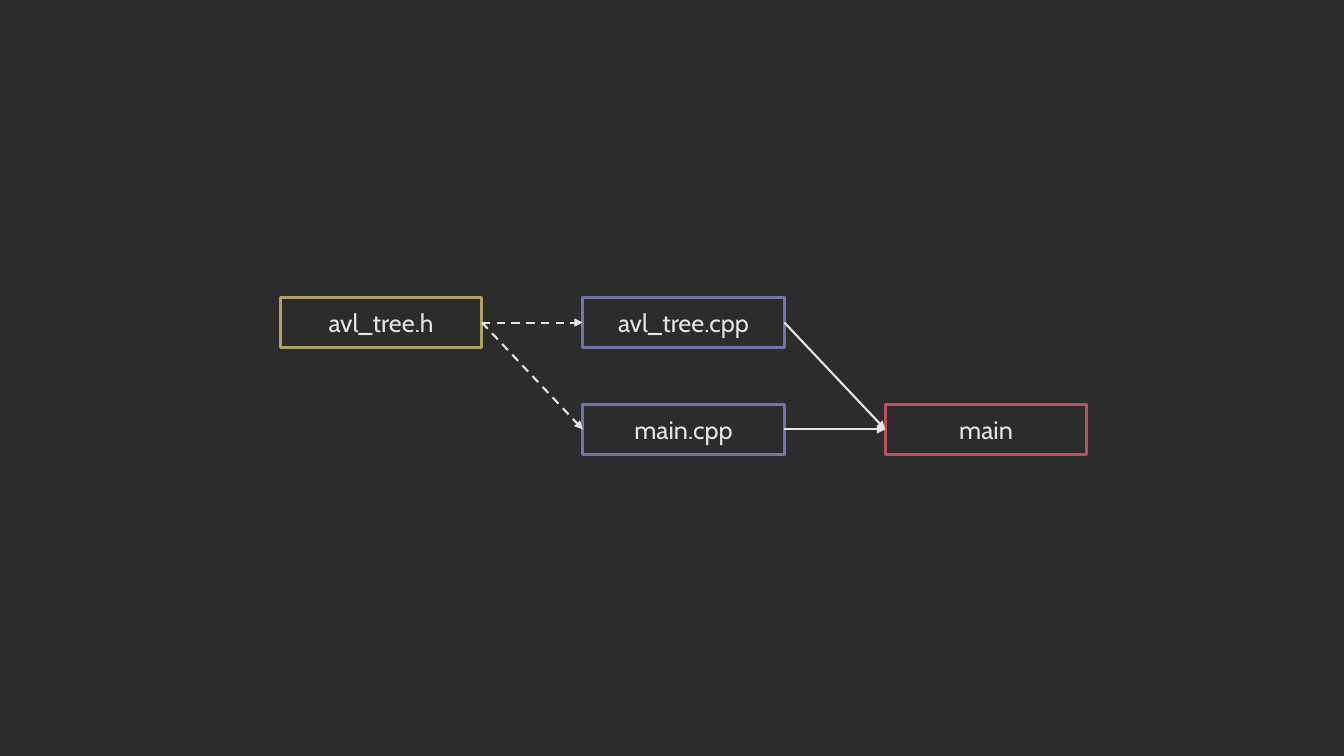
from lxml import etree
from pptx import Presentation
from pptx.dml.color import RGBColor
from pptx.enum.dml import MSO_LINE
from pptx.enum.shapes import MSO_CONNECTOR, MSO_SHAPE
from pptx.enum.text import MSO_ANCHOR, PP_ALIGN
from pptx.oxml.ns import qn
from pptx.util import Inches, Pt

LIGHT = "E4E4E4"
BLUE = "6E75A8"
COLUMNS = [2.78, 5.78, 8.78]
ROWS = [2.95, 4.01]
RIGHT_SIDE, LEFT_SIDE = 3, 1


def paint(color_format, color):
    color_format.rgb = RGBColor.from_string(color)


deck = Presentation()
deck.slide_width = Inches(13.33)
deck.slide_height = Inches(7.5)
page = deck.slides.add_slide(deck.slide_layouts[6])
page.background.fill.solid()
paint(page.background.fill.fore_color, "2C2C2C")

# Files: name, column, row, outline colour
files = [
    ("main.cpp", 1, 1, BLUE),
    ("main", 2, 1, "BB4F5C"),
    ("avl_tree.cpp", 1, 0, BLUE),
    ("avl_tree.h", 0, 0, "ADA069"),
]
boxes = {}
for name, column, row, color in files:
    box = page.shapes.add_shape(
        MSO_SHAPE.RECTANGLE, Inches(COLUMNS[column]), Inches(ROWS[row]), Inches(2), Inches(0.5)
    )
    box.shadow.inherit = False
    box.fill.background()
    paint(box.line.color, color)
    box.line.width = Pt(2.25)
    frame = box.text_frame
    frame.text = name
    frame.vertical_anchor = MSO_ANCHOR.MIDDLE
    para = frame.paragraphs[0]
    para.alignment = PP_ALIGN.CENTER
    font = para.runs[0].font
    font.name = "Cabin"
    font.size = Pt(18)
    paint(font.color, LIGHT)
    boxes[name] = box

# Build steps: source, target, dashed for an include
steps = [
    ("main.cpp", "main", False),
    ("avl_tree.h", "avl_tree.cpp", True),
    ("avl_tree.h", "main.cpp", True),
    ("avl_tree.cpp", "main", False),
]
for source, target, dashed in steps:
    arrow = page.shapes.add_connector(MSO_CONNECTOR.STRAIGHT, 0, 0, 0, 0)
    arrow.begin_connect(boxes[source], RIGHT_SIDE)
    arrow.end_connect(boxes[target], LEFT_SIDE)
    paint(arrow.line.color, LIGHT)
    arrow.line.width = Pt(1.5)
    if dashed:
        arrow.line.dash_style = MSO_LINE.DASH
    etree.SubElement(arrow.line._get_or_add_ln(), qn("a:tailEnd"), type="triangle")
    etree.SubElement(arrow._element.spPr, qn("a:effectLst"))

deck.save("out.pptx")
